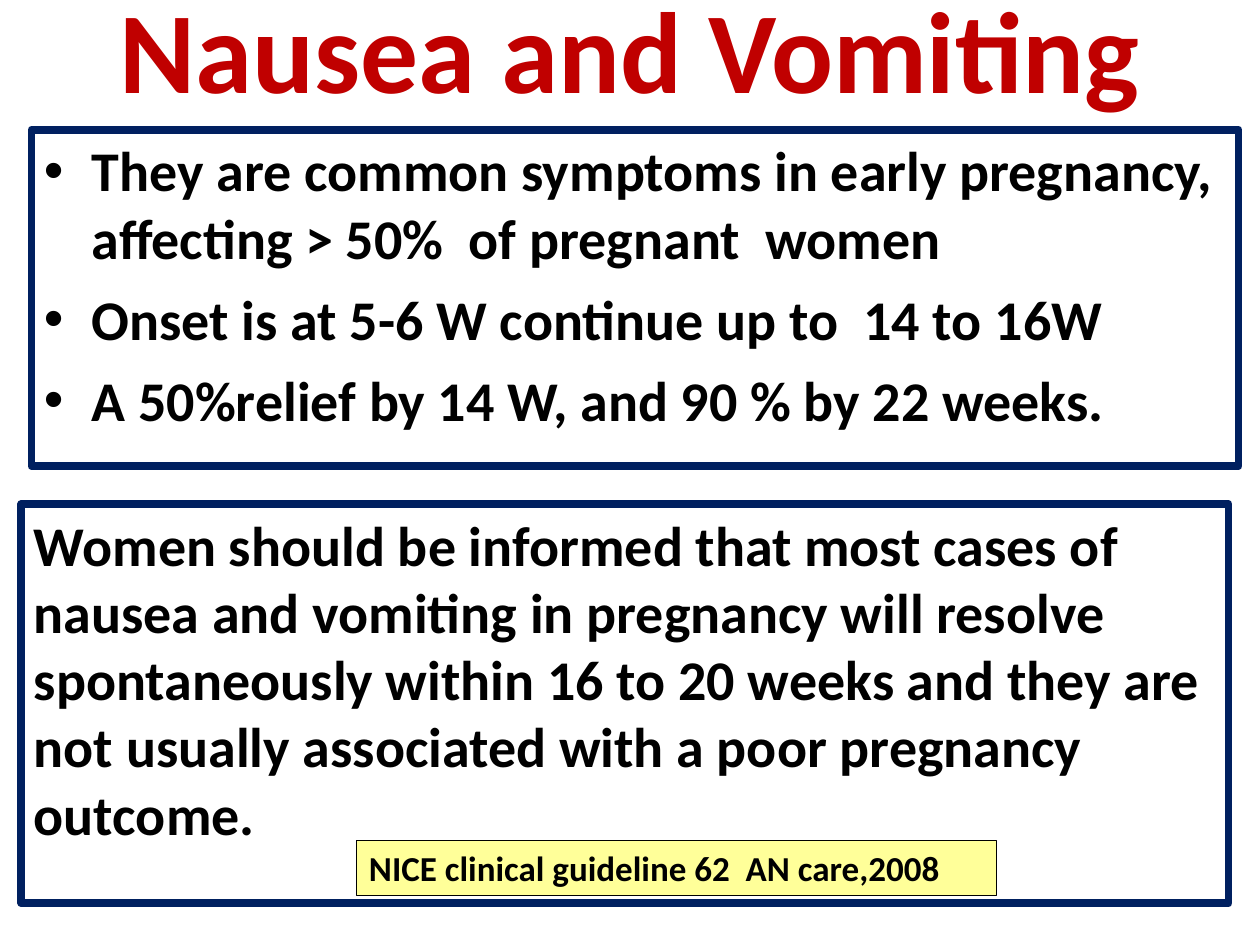
from dataclasses import dataclass

from lxml.etree import SubElement
from pptx import Presentation
from pptx.dml.color import RGBColor
from pptx.enum.shapes import MSO_SHAPE as Shape
from pptx.enum.text import MSO_ANCHOR as Anchor, PP_ALIGN as Align
from pptx.oxml.ns import qn
from pptx.util import Inches, Pt


@dataclass(frozen=True)
class Theme:
    font: str = "Calibri"
    title: RGBColor = RGBColor(0xC0, 0x00, 0x00)
    border: RGBColor = RGBColor(0x00, 0x20, 0x60)
    text: RGBColor = RGBColor(0x00, 0x00, 0x00)
    note: RGBColor = RGBColor(0xFF, 0xFF, 0x99)
    title_size: int = 66
    body_size: int = 32
    note_size: int = 20


theme = Theme()


def write_text(frame, lines, size, color, align=Align.LEFT, bullets=False):
    frame.word_wrap = True
    for index, line in enumerate(lines):
        paragraph = frame.paragraphs[0] if index == 0 else frame.add_paragraph()
        paragraph.alignment = align
        if bullets:
            paragraph.space_before = Pt(8 if index else 0)
            properties = paragraph._p.get_or_add_pPr()
            properties.set("marL", str(Inches(0.38)))
            properties.set("indent", str(-Inches(0.38)))
            SubElement(properties, qn("a:buFont"), typeface="Arial")
            SubElement(properties, qn("a:buChar"), char="•")
        run = paragraph.add_run()
        run.text = line
        run.font.color.rgb = color
        font_format = {"name": theme.font, "size": Pt(size), "bold": True}
        for name, value in font_format.items():
            setattr(run.font, name, value)


presentation = Presentation()
presentation.slide_width, presentation.slide_height = Inches(10), Inches(7.5)
slide = presentation.slides.add_slide(presentation.slide_layouts[6])

# Title
title = slide.shapes.add_textbox(Inches(0.5), Inches(-0.25), Inches(9), Inches(1.25))
title.text_frame.vertical_anchor = Anchor.MIDDLE
write_text(title.text_frame, ["Nausea and Vomiting"], theme.title_size, theme.title, Align.CENTER)

# Symptom facts, advice and source note
boxes = [
    {
        "at": (0.25, 1.03, 9.58, 2.67), "fill": None,
        "line": (theme.border, 4.5), "size": theme.body_size, "bullets": True,
        "lines": [
            "They are common symptoms in early pregnancy, affecting > 50%  of pregnant  women",
            "Onset is at 5-6 W continue up to  14 to 16W",
            "A 50%relief by 14 W, and 90 % by 22 weeks.",
        ],
    },
    {
        "at": (0.17, 4, 9.58, 3.17), "fill": None,
        "line": (theme.border, 4.5), "size": theme.body_size, "bullets": False,
        "lines": [
            "Women should be informed that most cases of nausea and vomiting in pregnancy "
            "will resolve spontaneously within 16 to 20 weeks and they are not usually "
            "associated with a poor pregnancy outcome.",
        ],
    },
    {
        "at": (2.83, 6.67, 5.08, 0.44), "fill": theme.note,
        "line": (theme.text, 0.75), "size": theme.note_size, "bullets": False,
        "lines": ["NICE clinical guideline 62  AN care,2008"],
    },
]
for box in boxes:
    shape = slide.shapes.add_shape(Shape.RECTANGLE, *map(Inches, box["at"]))
    shape.shadow.inherit = False
    if box["fill"] is None:
        shape.fill.background()
    else:
        shape.fill.solid()
        shape.fill.fore_color.rgb = box["fill"]
    line_color, line_width = box["line"]
    shape.line.color.rgb = line_color
    shape.line.width = Pt(line_width)
    shape.text_frame.vertical_anchor = Anchor.TOP
    write_text(shape.text_frame, box["lines"], box["size"], theme.text, bullets=box["bullets"])

presentation.save("out.pptx")
